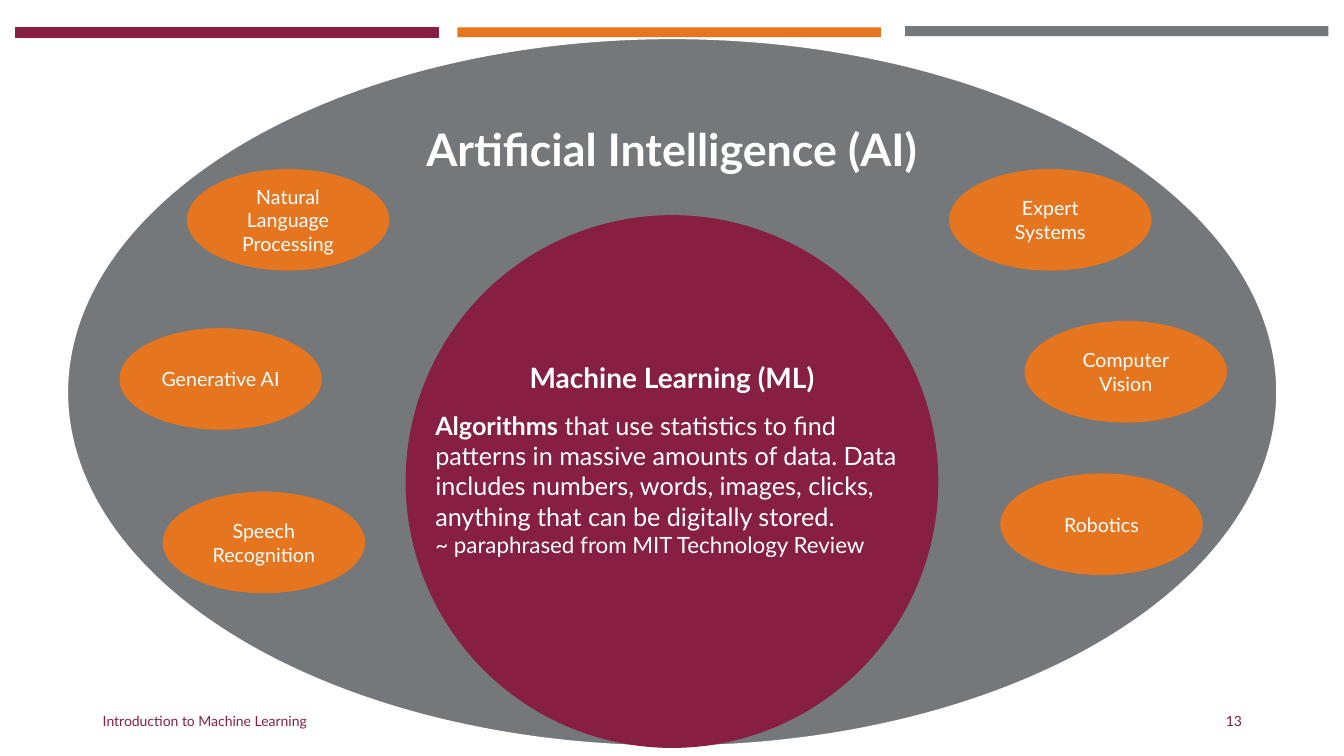
from dataclasses import dataclass

from pptx import Presentation
from pptx.dml.color import RGBColor
from pptx.enum.shapes import MSO_SHAPE as Kind
from pptx.enum.text import MSO_ANCHOR as Anchor, PP_ALIGN as Align
from pptx.shapes.autoshape import Shape
from pptx.slide import Slide
from pptx.text.text import TextFrame
from pptx.util import Cm, Pt

MAROON = RGBColor(0x86, 0x1F, 0x41)
ORANGE = RGBColor(0xE5, 0x75, 0x1F)
GRAY = RGBColor(0x75, 0x78, 0x7B)
WHITE = RGBColor(0xFF, 0xFF, 0xFF)
FONT = "Lato"


@dataclass
class Box:
    left: float
    top: float
    width: float
    height: float


@dataclass
class Bar:
    left: float
    top: float
    fill: RGBColor
    edge: float = 0


@dataclass
class Field:
    label: str
    left: float
    top: float


BARS = [
    Bar(0.38, 0.69, MAROON, 0.75),
    Bar(22.81, 0.66, GRAY),
    Bar(11.53, 0.69, ORANGE),
]
FIELDS = [
    Field("Natural Language Processing", 4.72, 4.27),
    Field("Expert Systems", 23.93, 4.27),
    Field("Speech Recognition", 4.11, 12.4),
    Field("Computer Vision", 25.83, 8.1),
    Field("Robotics", 25.22, 11.94),
    Field("Generative AI", 3.02, 8.28),
]


def draw(slide: Slide, kind: Kind, box: Box, fill: RGBColor,
         line: RGBColor, edge: float) -> Shape:
    shape = slide.shapes.add_shape(
        kind, Cm(box.left), Cm(box.top), Cm(box.width), Cm(box.height))
    shape.shadow.inherit = False
    shape.fill.solid()
    shape.fill.fore_color.rgb = fill
    if edge:
        shape.line.color.rgb = line
        shape.line.width = Pt(edge)
    else:
        shape.line.fill.background()
    return shape


def frame(slide: Slide, box: Box, anchor: Anchor) -> TextFrame:
    text = slide.shapes.add_textbox(
        Cm(box.left), Cm(box.top), Cm(box.width), Cm(box.height)).text_frame
    text.word_wrap = True
    text.vertical_anchor = anchor
    return text


def write(body: TextFrame, text: str, *, size: float, color: RGBColor = WHITE,
          lead: str = "", bold: bool = False, align: Align = Align.LEFT,
          space: float = 1, more: bool = False) -> None:
    para = body.add_paragraph() if more else body.paragraphs[0]
    para.alignment = align
    para.line_spacing = space
    for part, heavy in ((lead, True), (text, bold)):
        if part:
            run = para.add_run()
            run.text = part
            run.font.name = FONT
            run.font.size = Pt(size)
            run.font.bold = heavy
            run.font.color.rgb = color


def main() -> None:
    deck = Presentation()
    deck.slide_width, deck.slide_height = Cm(33.87), Cm(19.05)
    slide = deck.slides.add_slide(deck.slide_layouts[6])

    for bar in BARS:
        draw(slide, Kind.RECTANGLE, Box(bar.left, bar.top, 10.67, 0.25),
             bar.fill, bar.fill, bar.edge)

    foot = frame(slide, Box(2.34, 17.65, 11.43, 1.02), Anchor.MIDDLE)
    write(foot, "Introduction to Machine Learning", size=10, color=MAROON)
    page = frame(slide, Box(23.93, 17.65, 7.62, 1.02), Anchor.MIDDLE)
    write(page, "13", size=10, color=MAROON, align=Align.RIGHT)

    draw(slide, Kind.OVAL, Box(1.7, 0.97, 30.48, 17.83), GRAY, WHITE, 1)
    title = frame(slide, Box(9.57, 2.95, 14.73, 1.75), Anchor.MIDDLE)
    write(title, "Artificial Intelligence (AI)", size=32, bold=True,
          align=Align.CENTER, space=0.9)

    core = draw(slide, Kind.OVAL, Box(10.24, 5.44, 13.39, 13.39),
                MAROON, MAROON, 1).text_frame
    core.word_wrap = True
    core.vertical_anchor = Anchor.TOP
    core.margin_top = Cm(1.77)
    write(core, "Machine Learning (ML)", size=20, bold=True,
          align=Align.CENTER, space=0.9)

    for field in FIELDS:
        oval = draw(slide, Kind.OVAL, Box(field.left, field.top, 5.08, 2.54),
                    ORANGE, ORANGE, 0.5).text_frame
        oval.word_wrap = True
        oval.vertical_anchor = Anchor.MIDDLE
        write(oval, field.label, size=14, align=Align.CENTER)

    note = frame(slide, Box(10.72, 10.21, 12.45, 4.78), Anchor.TOP)
    write(note, " that use statistics to find patterns in massive amounts of "
          "data. Data includes numbers, words, images, clicks, anything that "
          "can be digitally stored.", lead="Algorithms", size=18)
    write(note, "~ paraphrased from MIT Technology Review", size=16, more=True)

    deck.save("out.pptx")


if __name__ == "__main__":
    main()
